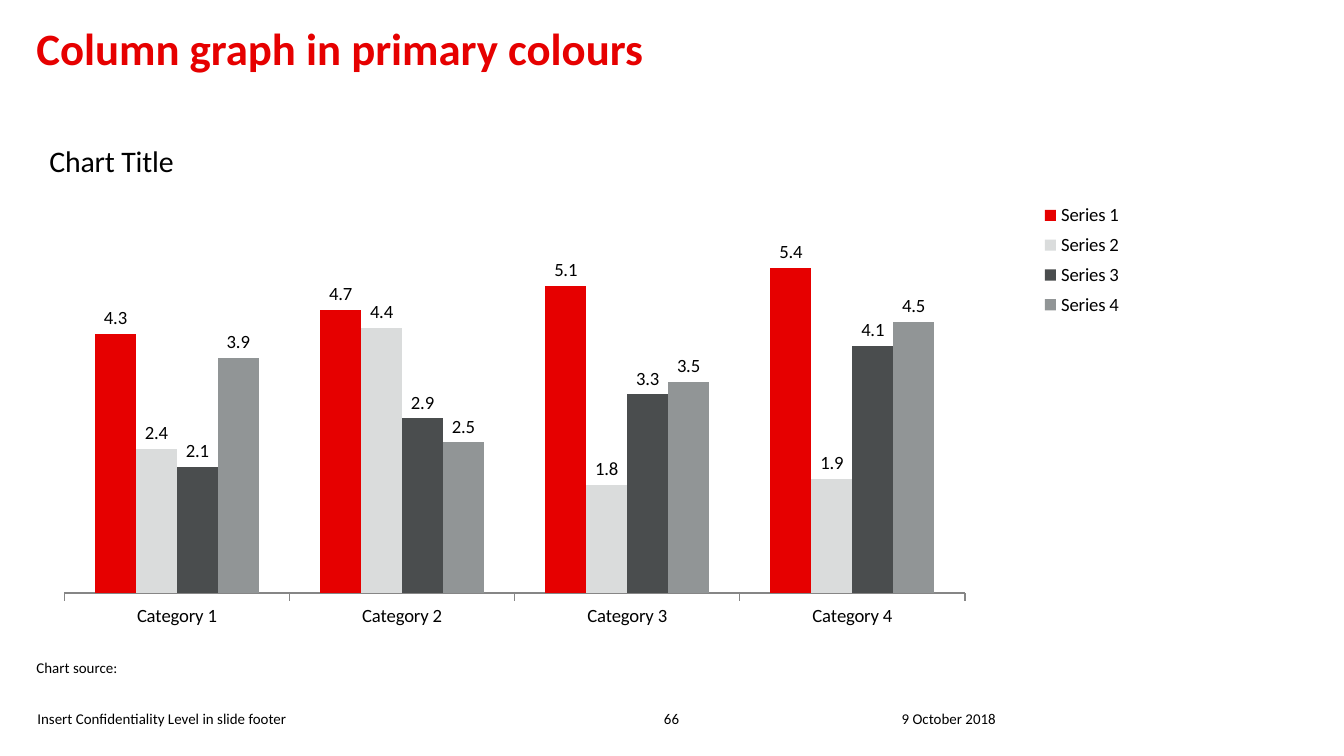
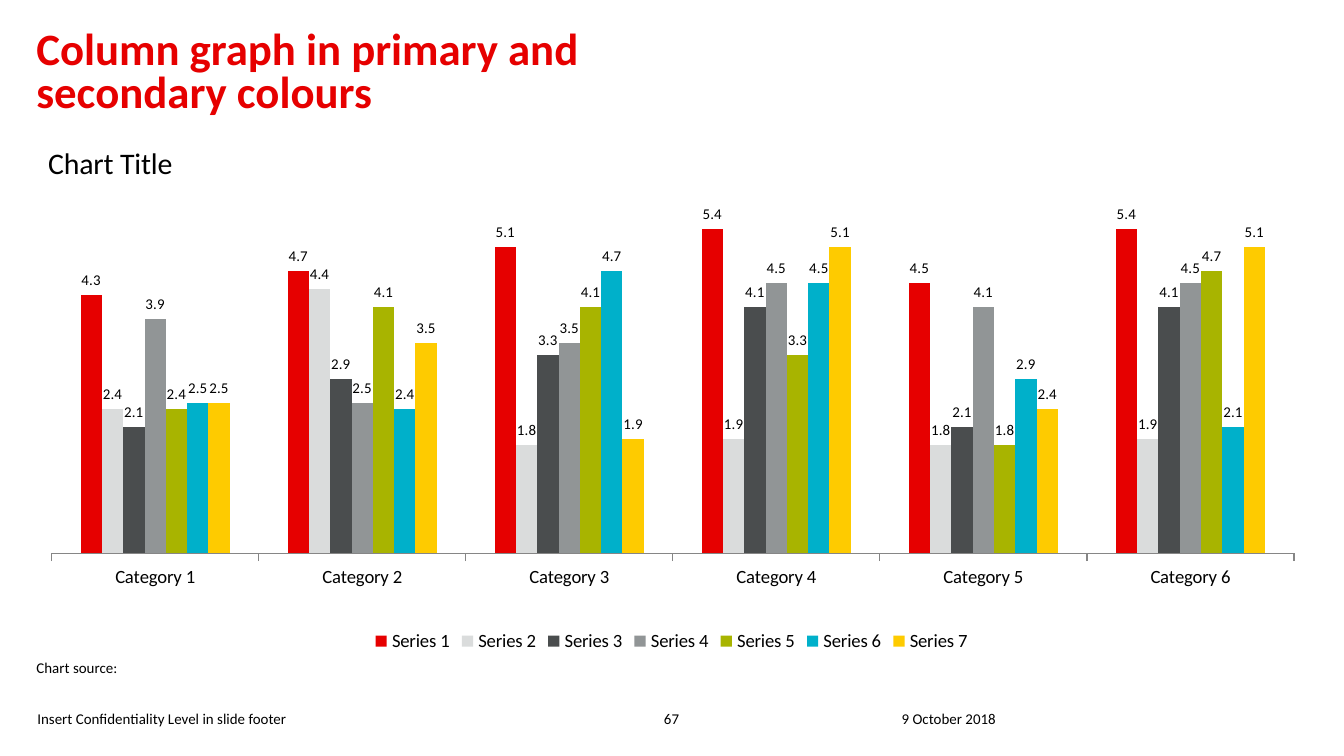
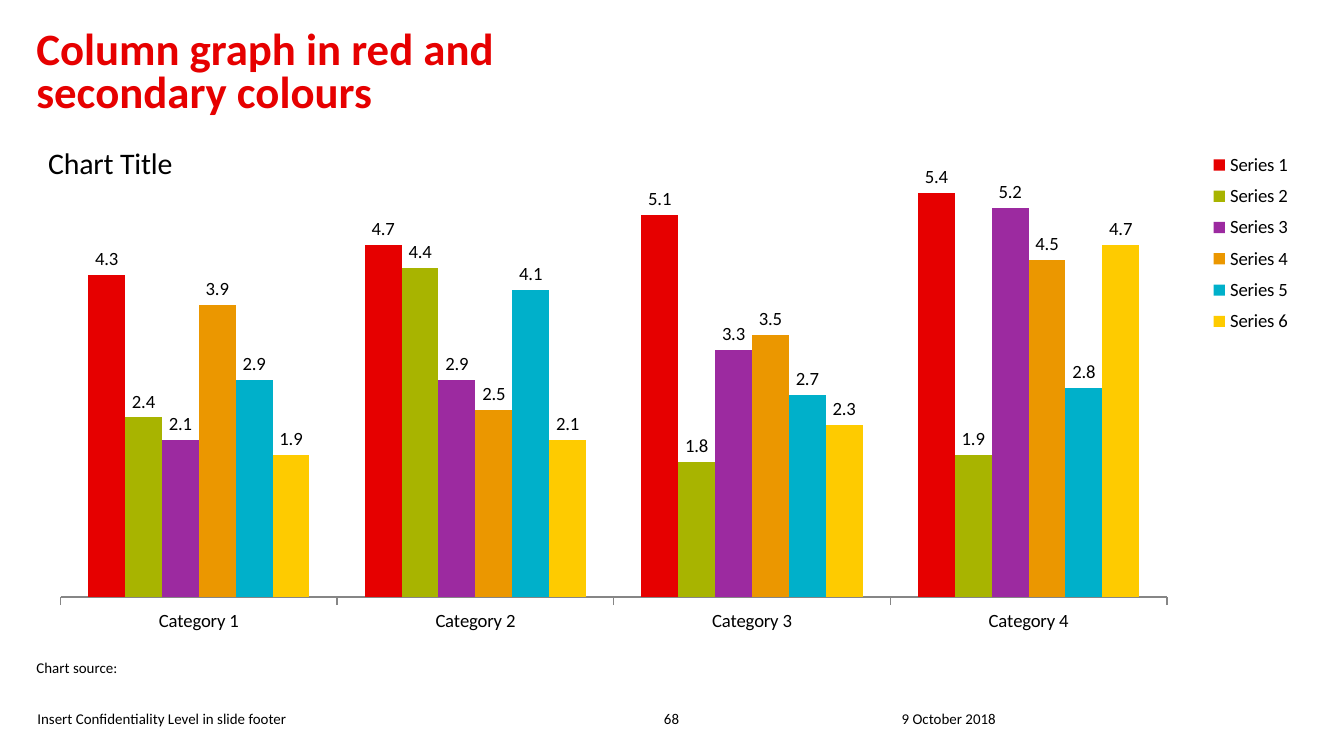
"""Build three slides of column charts in a shared red-titled style."""
from dataclasses import dataclass

from lxml.etree import SubElement
from pptx import Presentation
from pptx.chart.data import CategoryChartData
from pptx.dml.color import RGBColor
from pptx.enum.chart import (XL_CHART_TYPE, XL_LABEL_POSITION,
                             XL_LEGEND_POSITION, XL_TICK_MARK)
from pptx.enum.text import MSO_ANCHOR, PP_ALIGN
from pptx.oxml import parse_xml
from pptx.oxml.ns import nsdecls, qn
from pptx.util import Pt


@dataclass(frozen=True)
class Theme:
    font: str = "Calibri"
    red: str = "E60000"
    light_grey: str = "DADCDC"
    dark_grey: str = "4A4D4E"
    mid_grey: str = "919596"
    green: str = "A8B400"
    turquoise: str = "00B0CA"
    purple: str = "9C2AA0"
    orange: str = "EB9700"
    yellow: str = "FECB00"
    text: str = "000000"
    axis: str = "868686"
    title_size: int = 24
    chart_title_size: int = 16
    chart_size: int = 10
    small_size: int = 8


THEME = Theme()
PRIMARY = [THEME.red, THEME.light_grey, THEME.dark_grey, THEME.mid_grey]
SECONDARY = [THEME.green, THEME.turquoise, THEME.yellow]
RED_AND_SECONDARY = [THEME.red, THEME.green, THEME.purple, THEME.orange,
                     THEME.turquoise, THEME.yellow]

SLIDES = [
    dict(
        title="Column graph in primary colours",
        page=66,
        colours=PRIMARY,
        rows=[
            (4.3, 4.7, 5.1, 5.4),
            (2.4, 4.4, 1.8, 1.9),
            (2.1, 2.9, 3.3, 4.1),
            (3.9, 2.5, 3.5, 4.5),
        ],
        plot_box=(0.022, 0.197, 0.709, 0.682),
        title_spot=(0.006, 0.014),
        legend_box=(0.778, 0.129, 0.09, 0.242),
    ),
    dict(
        title="Column graph in primary and\nsecondary colours",
        page=67,
        colours=PRIMARY + SECONDARY,
        rows=[
            (4.3, 4.7, 5.1, 5.4, 4.5, 5.4),
            (2.4, 4.4, 1.8, 1.9, 1.8, 1.9),
            (2.1, 2.9, 3.3, 4.1, 2.1, 4.1),
            (3.9, 2.5, 3.5, 4.5, 4.1, 4.5),
            (2.4, 4.1, 4.1, 3.3, 1.8, 4.7),
            (2.5, 2.4, 4.7, 4.5, 2.9, 2.1),
            (2.5, 3.5, 1.9, 5.1, 2.4, 5.1),
        ],
        plot_box=(0.012, 0.124, 0.978, 0.68),
        title_spot=(0.005, 0.018),
        gap=272,
        label_size=THEME.small_size,
    ),
    dict(
        title="Column graph in red and\nsecondary colours",
        page=68,
        colours=RED_AND_SECONDARY,
        rows=[
            (4.3, 4.7, 5.1, 5.4),
            (2.4, 4.4, 1.8, 1.9),
            (2.1, 2.9, 3.3, 5.2),
            (3.9, 2.5, 3.5, 4.5),
            (2.9, 4.1, 2.7, 2.8),
            (1.9, 2.1, 2.3, 4.7),
        ],
        plot_box=(0.019, 0.038, 0.871, 0.849),
        title_spot=(0.005, 0.018),
        legend_box=(0.916, 0.031, 0.08, 0.374),
    ),
]


def style_font(font, size, colour=THEME.text, bold=False):
    font.name = THEME.font
    font.size = Pt(size)
    font.bold = bold
    font.color.rgb = RGBColor.from_string(colour)


def add_text(slide, text, box, size=THEME.small_size, colour=THEME.text,
             bold=False, anchor=MSO_ANCHOR.TOP, align=PP_ALIGN.LEFT):
    frame = slide.shapes.add_textbox(*map(Pt, box)).text_frame
    frame.word_wrap = True
    frame.vertical_anchor = anchor
    frame.margin_left = frame.margin_right = 0
    frame.margin_top = frame.margin_bottom = 0
    paragraph = frame.paragraphs[0]
    paragraph.text = text
    paragraph.alignment = align
    style_font(paragraph.font, size, colour, bold)
    return paragraph


def add_title(slide, text):
    paragraph = add_text(slide, text, (19.5, 16.5, 515, 52.5),
                         THEME.title_size, THEME.red, bold=True)
    paragraph.line_spacing = 0.8


def add_source(slide):
    paragraph = add_text(slide, "Chart source:", (19.5, 353, 283.5, 20))
    properties = paragraph._p.get_or_add_pPr()
    properties.set("marL", str(Pt(7)))
    properties.set("indent", str(-Pt(7)))


def add_footer(slide, page):
    entries = [
        ("9 October 2018", 483, 168, PP_ALIGN.LEFT),
        ("Insert Confidentiality Level in slide footer", 20, 164, PP_ALIGN.LEFT),
        (str(page), 343.5, 32.5, PP_ALIGN.CENTER),
    ]
    for text, left, width, align in entries:
        add_text(slide, text, (left, 371, width, 18.5),
                 anchor=MSO_ANCHOR.BOTTOM, align=align)


def place_in_chart(element, index, box, inner=False):
    layout = element.find(qn("c:layout"))
    if layout is None:
        layout = parse_xml(f"<c:layout {nsdecls('c')}/>")
        element.insert(index, layout)
    manual = SubElement(layout, qn("c:manualLayout"))
    settings = [("layoutTarget", "inner")] if inner else []
    settings += [("xMode", "edge"), ("yMode", "edge")]
    settings += zip("xywh", box)
    for name, value in settings:
        SubElement(manual, qn(f"c:{name}")).set("val", str(value))


def style_axes(chart):
    value_axis = chart.value_axis
    value_axis.minimum_scale = 0
    value_axis.maximum_scale = 6
    value_axis.has_major_gridlines = False
    value_axis.visible = False
    category_axis = chart.category_axis
    category_axis.major_tick_mark = XL_TICK_MARK.OUTSIDE
    category_axis.format.line.color.rgb = RGBColor.from_string(THEME.axis)
    category_axis.format.line.width = Pt(0.75)


def add_chart_title(chart, spot):
    chart.has_title = True
    title = chart.chart_title
    paragraph = title.text_frame.paragraphs[0]
    paragraph.text = "Chart Title"
    style_font(paragraph.font, THEME.chart_title_size)
    place_in_chart(title._element, 1, spot)


def add_legend(chart, box):
    chart.has_legend = True
    legend = chart.legend
    legend.position = XL_LEGEND_POSITION.RIGHT if box else XL_LEGEND_POSITION.BOTTOM
    legend.include_in_layout = False
    style_font(legend.font, THEME.chart_size)
    if box:
        place_in_chart(legend._element, 1, box)


def add_column_chart(slide, rows, colours, plot_box, title_spot,
                     legend_box=None, gap=150, label_size=THEME.chart_size):
    data = CategoryChartData()
    data.categories = [f"Category {n}" for n in range(1, len(rows[0]) + 1)]
    for number, values in enumerate(rows, 1):
        data.add_series(f"Series {number}", values)
    chart = slide.shapes.add_chart(
        XL_CHART_TYPE.COLUMN_CLUSTERED,
        Pt(19.5), Pt(68.5), Pt(680.5), Pt(283.5), data).chart
    style_font(chart.font, THEME.chart_size)
    plot = chart.plots[0]
    plot.gap_width = gap
    plot.overlap = 0
    plot.vary_by_categories = False
    for series, colour in zip(plot.series, colours):
        series.format.fill.solid()
        series.format.fill.fore_color.rgb = RGBColor.from_string(colour)
        labels = series.data_labels
        labels.show_value = True
        labels.position = XL_LABEL_POSITION.OUTSIDE_END
        style_font(labels.font, label_size)
    style_axes(chart)
    add_chart_title(chart, title_spot)
    add_legend(chart, legend_box)
    place_in_chart(chart._chartSpace.chart.plotArea, 0, plot_box, inner=True)


def main():
    presentation = Presentation()
    presentation.slide_width, presentation.slide_height = Pt(720), Pt(405)
    for content in SLIDES:
        chart_content = dict(content)
        slide = presentation.slides.add_slide(presentation.slide_layouts[6])
        add_title(slide, chart_content.pop("title"))
        add_footer(slide, chart_content.pop("page"))
        add_column_chart(slide, **chart_content)
        add_source(slide)
    presentation.save("out.pptx")


if __name__ == "__main__":
    main()
